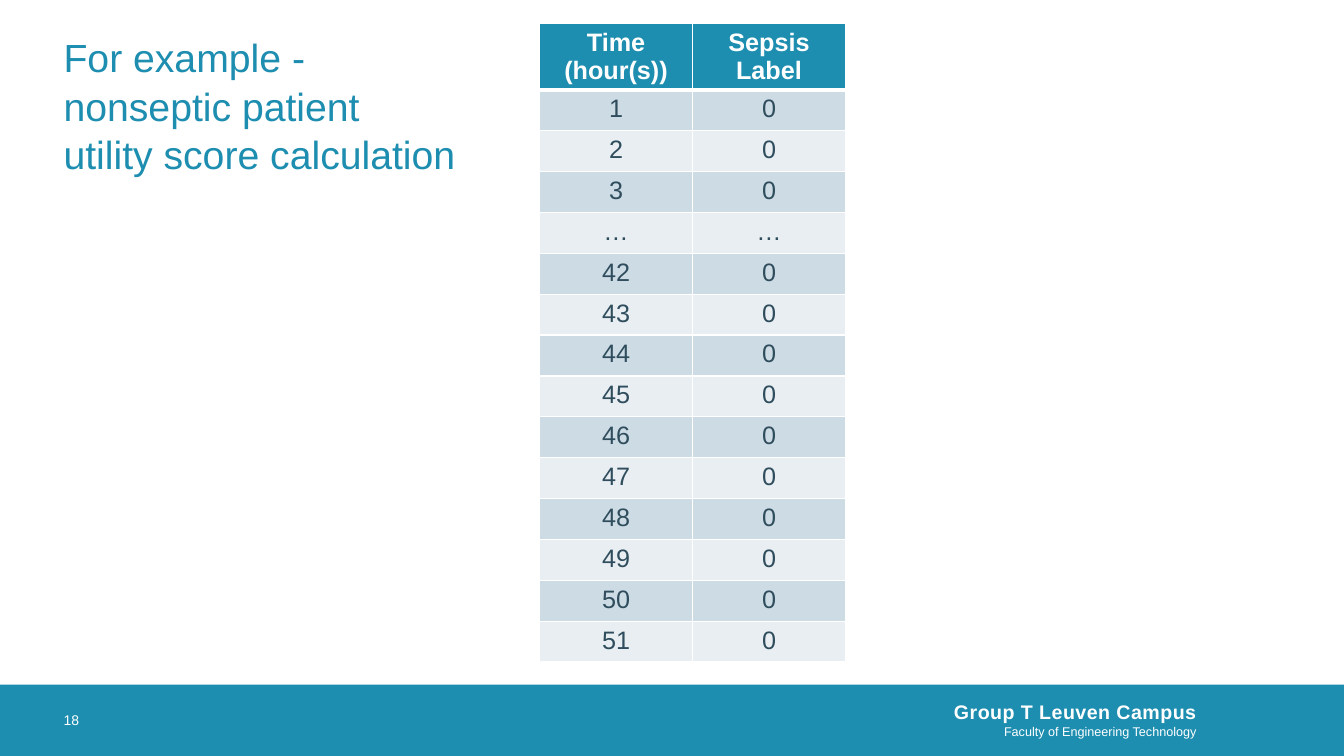
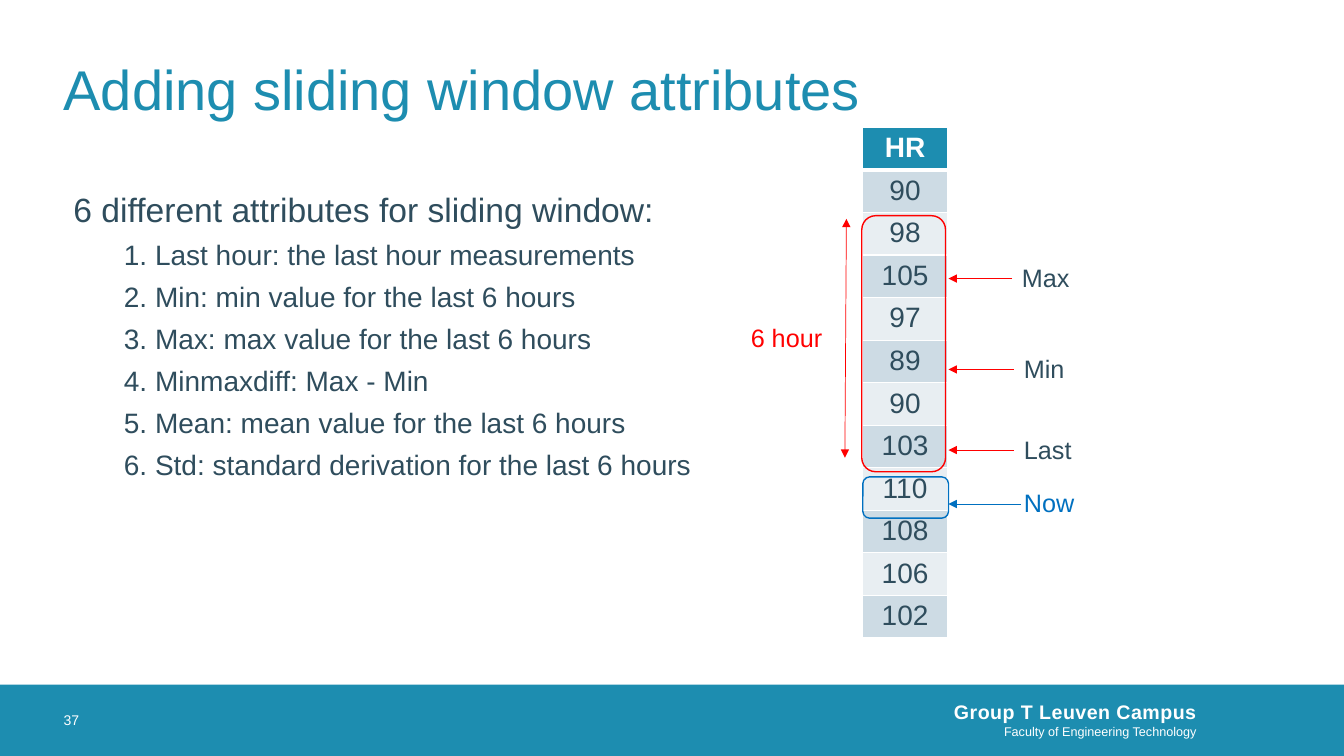
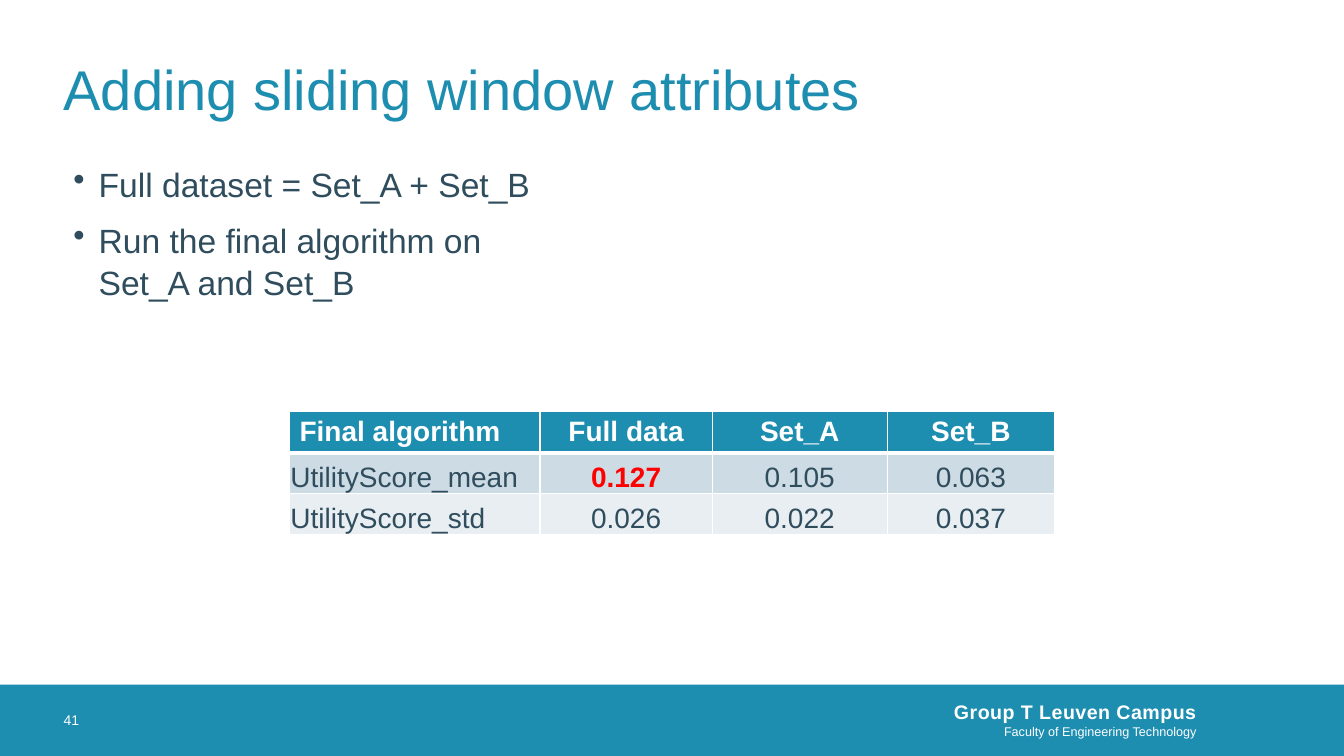
"""Build three slides on sepsis utility scores and sliding window attributes."""
from dataclasses import dataclass

from lxml.etree import SubElement
from pptx import Presentation
from pptx.dml.color import RGBColor
from pptx.enum.shapes import MSO_CONNECTOR as Connector, MSO_SHAPE as Preset
from pptx.enum.text import MSO_ANCHOR as Anchor, MSO_AUTO_SIZE as AutoSize, PP_ALIGN as Align
from pptx.oxml.ns import qn
from pptx.util import Pt


@dataclass(frozen=True)
class Theme:
    font: str = "Arial"
    teal: str = "1D8DB0"
    ink: str = "2F4D5D"
    white: str = "FFFFFF"
    red: str = "FF0000"
    blue: str = "0070C0"
    bands: tuple = ("CDDBE4", "E8EEF2")
    title: int = 40
    long_title: int = 28
    body: int = 24
    item: int = 20
    label: int = 18
    campus: int = 14
    number: int = 10
    faculty: int = 9
    leading: float = 1.04


THEME = Theme()
SLIDE_WIDTH, SLIDE_HEIGHT = 960, 540
MARGIN = 45.4
BAND_TOP, BAND_HEIGHT = 489, 51
TITLE_TOP = 16.6
BOX_INSETS = (7.2, 3.6, 7.2, 3.6)
TIGHT_INSETS = (0.72, 0.72, 0.72, 0)

WINDOW_TITLE = "Adding sliding window attributes"
PATIENT_TITLE = "For example - \vnonseptic patient\vutility score calculation"
PATIENT_HOURS = ["1", "2", "3", "…"] + [str(hour) for hour in range(42, 52)]
PATIENT_ROWS = [("Time\n(hour(s))", "Sepsis Label")] + [
    (hour, "…" if hour == "…" else "0") for hour in PATIENT_HOURS]
HEART_RATES = [90, 98, 105, 97, 89, 90, 103, 110, 108, 106, 102]
HEART_ROWS = [("HR",)] + [(str(rate),) for rate in HEART_RATES]

WINDOW_HEADING = "6 different attributes for sliding window:"
WINDOW_ATTRIBUTES = [
    "Last hour: the last hour measurements",
    "Min: min value for the last 6 hours",
    "Max: max value for the last 6 hours",
    "Minmaxdiff: Max - Min",
    "Mean: mean value for the last 6 hours",
    "Std: standard derivation for the last 6 hours",
]
FRAMES = [
    ((615.6, 154.1, 59.8, 182.9), THEME.red),
    ((616.3, 340.6, 61.2, 29.5), THEME.blue),
]
MARKERS = [
    ("Max", 722.9, 183.6, 722.9, 199, THEME.ink, THEME.red),
    ("Min", 724.3, 249.1, 724.3, 263.9, THEME.ink, THEME.red),
    ("Last", 724.3, 306.7, 724.3, 321.5, THEME.ink, THEME.red),
    ("Now", 724.3, 344.2, 729.4, 360, THEME.blue, THEME.blue),
]
MARKER_TIP = 677.5

DATASET_POINTS = [
    "Full dataset = Set_A + Set_B",
    "Run the final algorithm on Set_A and Set_B",
]
SCORE_ROWS = [
    ("Final algorithm", "Full data", "Set_A", "Set_B"),
    ("UtilityScore_mean", "0.127", "0.105", "0.063"),
    ("UtilityScore_std", "0.026", "0.022", "0.037"),
]


def points(*lengths):
    return [Pt(length) for length in lengths]


def write(frame, text, *, size, color=THEME.ink, bold=False, align=Align.LEFT,
          before=0, leading=1.0, left=0, bullet=None, tracking=0):
    """Add one paragraph to a text frame, using its empty first one if there is one."""
    first = frame.paragraphs[0]
    paragraph = frame.add_paragraph() if first.text else first
    paragraph.text = text
    properties = paragraph._p.get_or_add_pPr()
    properties.set("marL", str(Pt(left)))
    properties.set("indent", str(Pt(-left if bullet else 0)))
    if bullet:
        SubElement(properties, qn("a:buChar"), char=bullet)
    paragraph.alignment = align
    paragraph.space_before = Pt(before)
    paragraph.line_spacing = leading
    for run in paragraph.runs:
        run.font.name = THEME.font
        run.font.size = Pt(size)
        run.font.bold = bold
        run.font.color.rgb = RGBColor.from_string(color)
        if tracking:
            run.font._element.set("spc", str(int(tracking * 100)))
    for line_break in paragraph._p.findall(qn("a:br")):
        SubElement(line_break, qn("a:rPr"), sz=str(size * 100))


def prepare(frame, insets=BOX_INSETS, anchor=Anchor.TOP):
    frame.word_wrap = True
    frame.auto_size = AutoSize.NONE
    frame.vertical_anchor = anchor
    (frame.margin_left, frame.margin_top,
     frame.margin_right, frame.margin_bottom) = points(*insets)
    return frame


def add_box(slide, place, **layout):
    return prepare(slide.shapes.add_textbox(*points(*place)).text_frame, **layout)


def add_outline(slide, place, color):
    shape = slide.shapes.add_shape(Preset.ROUNDED_RECTANGLE, *points(*place))
    shape.shadow.inherit = False
    shape.fill.background()
    shape.line.color.rgb = RGBColor.from_string(color)
    shape.line.width = Pt(1)


def add_arrow(slide, start, end, color, double=False):
    connector = slide.shapes.add_connector(Connector.STRAIGHT, *points(*start, *end))
    connector.line.color.rgb = RGBColor.from_string(color)
    connector.line.width = Pt(0.5)
    line = connector.line._get_or_add_ln()
    for tag in ("a:headEnd", "a:tailEnd") if double else ("a:tailEnd",):
        SubElement(line, qn(tag), type="triangle")
    SubElement(connector._element.spPr, qn("a:effectLst"))


def set_borders(cell, bottom):
    properties = cell._tc.get_or_add_tcPr()
    for side, width in (("L", 1), ("R", 1), ("T", 1), ("B", bottom)):
        line = SubElement(properties, qn(f"a:ln{side}"), w=str(Pt(width)))
        fill = SubElement(line, qn("a:solidFill"))
        SubElement(fill, qn("a:srgbClr"), val=THEME.white)


def add_table(slide, rows, left, top, widths, row_height, size,
              body_insets=BOX_INSETS, body_anchor=Anchor.TOP,
              first_align=Align.CENTER, highlight=None):
    place = points(left, top, sum(widths), row_height * len(rows))
    table = slide.shapes.add_table(len(rows), len(widths), *place).table
    for column, width in zip(table.columns, widths):
        column.width = Pt(width)
    for row_index, row in enumerate(rows):
        table.rows[row_index].height = Pt(row_height)
        header = row_index == 0
        for column_index, text in enumerate(row):
            cell = table.cell(row_index, column_index)
            set_borders(cell, 3 if header else 1)
            cell.fill.solid()
            fill = THEME.teal if header else THEME.bands[(row_index - 1) % 2]
            cell.fill.fore_color.rgb = RGBColor.from_string(fill)
            cell.vertical_anchor = Anchor.TOP if header else body_anchor
            (cell.margin_left, cell.margin_top, cell.margin_right,
             cell.margin_bottom) = points(*(BOX_INSETS if header else body_insets))
            marked = (row_index, column_index) == highlight
            color = THEME.white if header else THEME.red if marked else THEME.ink
            for line in text.split("\n"):
                write(cell.text_frame, line, size=size, color=color, bold=header or marked,
                      align=Align.CENTER if column_index else first_align)


def add_slide(presentation, number, title, size=THEME.title, width=869, height=90.7):
    """Add a slide with the shared footer band, page number and title."""
    slide = presentation.slides.add_slide(presentation.slide_layouts[5])
    band = slide.shapes.add_shape(
        Preset.RECTANGLE, *points(0, BAND_TOP, SLIDE_WIDTH, BAND_HEIGHT))
    band.shadow.inherit = False
    band.fill.solid()
    band.fill.fore_color.rgb = RGBColor.from_string(THEME.teal)
    band.line.fill.background()

    footer = add_box(slide, (411, 487.5, 458, 52.5),
                     insets=(0, 0, 14.4, 0), anchor=Anchor.MIDDLE)
    write(footer, "Group T Leuven Campus", size=THEME.campus, color=THEME.white,
          bold=True, align=Align.RIGHT, tracking=0.3)
    write(footer, "Faculty of Engineering Technology", size=THEME.faculty,
          color=THEME.white, align=Align.RIGHT)
    page = add_box(slide, (MARGIN, BAND_TOP, BAND_HEIGHT, BAND_HEIGHT),
                   insets=(0, 0, 0, 0), anchor=Anchor.MIDDLE)
    write(page, str(number), size=THEME.number, color=THEME.white)

    heading = slide.shapes.title
    heading.left, heading.top, heading.width, heading.height = points(
        MARGIN, TITLE_TOP, width, height)
    prepare(heading.text_frame, insets=(0, 0, 0, 0), anchor=Anchor.MIDDLE)
    write(heading.text_frame, title, size=size, color=THEME.teal, leading=THEME.leading)
    return slide


def build_patient_slide(presentation):
    slide = add_slide(presentation, 18, PATIENT_TITLE, THEME.long_title, 311, 116)
    add_table(slide, PATIENT_ROWS, 385.4, TITLE_TOP, [109.3] * 2, 29.2, THEME.label)


def build_window_slide(presentation):
    slide = add_slide(presentation, 37, WINDOW_TITLE)
    body = add_box(slide, (MARGIN, 130.3, 481.7, 254.9))
    write(body, WINDOW_HEADING, size=THEME.body, leading=THEME.leading)
    for number, attribute in enumerate(WINDOW_ATTRIBUTES, 1):
        write(body, f"{number}. {attribute}", size=THEME.item, before=5,
              leading=THEME.leading, left=36)

    add_table(slide, HEART_ROWS, 616, 91, [61], 30.4, THEME.item)
    for place, color in FRAMES:
        add_outline(slide, place, color)
    add_arrow(slide, (604.6, 156.3), (603.5, 327), THEME.red, double=True)
    write(add_box(slide, (529.2, 226.8, 72, 29)), "6 hour",
          size=THEME.label, color=THEME.red)
    for text, left, top, start, level, text_color, line_color in MARKERS:
        write(add_box(slide, (left, top, 64, 29)), text,
              size=THEME.label, color=text_color)
        add_arrow(slide, (start, level), (MARKER_TIP, level), line_color)


def build_score_slide(presentation):
    slide = add_slide(presentation, 41, WINDOW_TITLE)
    body = add_box(slide, (MARGIN, 112.3, 350.6, 351.4))
    for index, point in enumerate(DATASET_POINTS):
        write(body, point, size=THEME.body, before=10 if index else 0,
              leading=THEME.leading, left=18, bullet="•")
    add_table(slide, SCORE_ROWS, 206.8, 293.8, [179, 123, 125, 119.5], 29.2, THEME.item,
              body_insets=TIGHT_INSETS, body_anchor=Anchor.BOTTOM,
              first_align=Align.LEFT, highlight=(1, 1))


def main():
    presentation = Presentation()
    presentation.slide_width, presentation.slide_height = points(SLIDE_WIDTH, SLIDE_HEIGHT)
    build_patient_slide(presentation)
    build_window_slide(presentation)
    build_score_slide(presentation)
    presentation.save("out.pptx")


if __name__ == "__main__":
    main()
